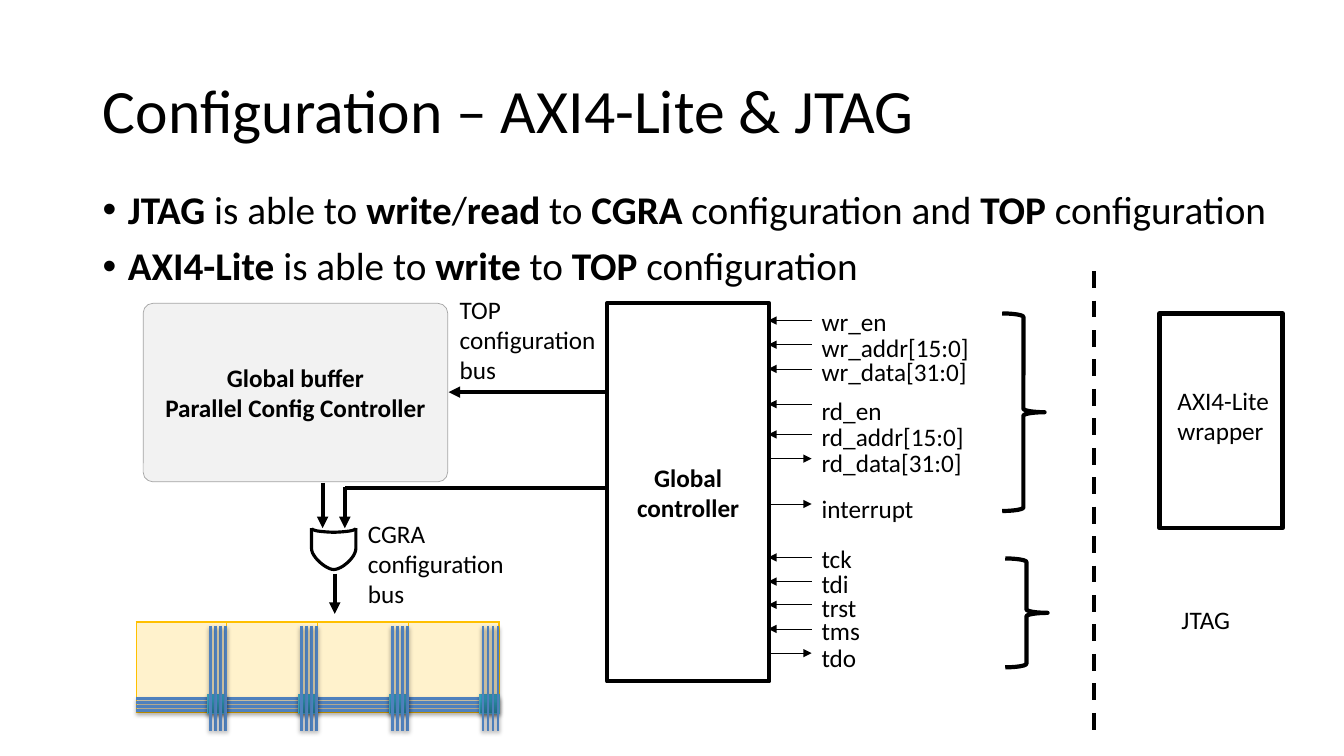
import math
import lxml.etree
import pptx
import pptx.dml.color
import pptx.enum.dml
import pptx.enum.shapes
import pptx.enum.text
import pptx.oxml
import pptx.oxml.ns
import pptx.util
from dataclasses import dataclass

TITLE = "Configuration – AXI4-Lite & JTAG"
# Every second span is plain, the others are bold.
BULLETS = [
    ["JTAG", " is able to ", "write", "/", "read", " to ", "CGRA",
     " configuration and ", "TOP", " configuration"],
    ["AXI4-Lite", " is able to ", "write", " to ", "TOP", " configuration"],
]
# name, arrow row, label row, direction; all rows in inches
SIGNALS = [
    ("wr_en", 3.18, 2.99, "in"),
    ("wr_addr[15:0]", 3.42, 3.25, "in"),
    ("wr_data[31:0]", 3.66, 3.49, "in"),
    ("rd_en", 4.01, 3.87, "in"),
    ("rd_addr[15:0]", 4.31, 4.13, "in"),
    ("rd_data[31:0]", 4.55, 4.39, "out"),
    ("interrupt", 5.00, 4.84, "out"),
    ("tck", 5.53, 5.34, "in"),
    ("tdi", 5.77, 5.59, "in"),
    ("trst", 6.00, 5.83, "in"),
    ("tms", 6.24, 6.06, "in"),
    ("tdo", 6.48, 6.32, "out"),
]
# paragraphs, (left, top, width, height)
NOTES = [
    (["TOP configuration bus"], (4.46, 2.87, 1.65, 1.01)),
    (["CGRA", "configuration", "bus"], (3.55, 5.09, 1.63, 1.01)),
    (["AXI4-Lite", "wrapper"], (11.58, 3.77, 1.3, 0.71)),
    (["JTAG"], (11.62, 5.95, 0.9, 0.4)),
]
BRACES = [(9.94, 3.11, 0.42, 1.96), (9.97, 5.54, 0.42, 1.08)]
CONTROLLER = (6.02, 3.01, 1.61, 3.75)
BUFFER = (1.42, 3.01, 3.02, 1.77)
WRAPPER = (11.5, 3.11, 1.22, 2.13)
PORT_LEFT, PORT_RIGHT = 7.62, 8.05
TOP_BUS_ROW, CGRA_BUS_ROW = 3.89, 4.84
GATE_LEFT, GATE_MIDDLE, GATE_RIGHT, GATE_TOP = 3.09, 3.31, 3.53, 5.24
GATE_INPUTS = (3.2, 3.42)
ARRAY_LEFT, ARRAY_TOP, TILE, TILE_COUNT = 1.35, 6.17, 0.9, 4
WIRE_COUNT, SWITCH = 4, 0.19
OUTLINE_UNITS = 1000  # freeform units per inch


@dataclass
class Theme:
    font: str = "Calibri"
    ink: str = "000000"
    paper: str = "FFFFFF"
    buffer_fill: str = "F2F2F2"
    buffer_line: str = "A5A5A5"
    tile_fill: str = "FFF2CC"
    tile_line: str = "FFC000"
    wire: str = "4F81BD"
    switch_line: str = "46AAC5"
    switch_stops: tuple = ((0, "2A88A2"), (80, "37B1D2"), (100, "34B4D6"))
    title_size: int = 44
    bullet_size: int = 28
    label_size: int = 18


theme = Theme()
Inches, Pt = pptx.util.Inches, pptx.util.Pt
Shapes = pptx.enum.shapes.MSO_SHAPE
NAMESPACE = 'xmlns:a="http://schemas.openxmlformats.org/drawingml/2006/main"'

deck = pptx.Presentation()
deck.slide_width, deck.slide_height = Inches(13.33), Inches(7.5)
page = deck.slides.add_slide(deck.slide_layouts[5])


def rgb(code):
    return pptx.dml.color.RGBColor.from_string(code)


def place(area):
    return [Inches(length) for length in area]


def set_font(target, size, bold=None):
    target.font.name, target.font.size, target.font.bold = theme.font, Pt(size), bold
    target.font.color.rgb = rgb(theme.ink)


def fill_text(frame, lines, bold=None, align=pptx.enum.text.PP_ALIGN.LEFT):
    frame.word_wrap = True
    for index, line in enumerate(lines):
        para = frame.add_paragraph() if index else frame.paragraphs[0]
        para.text, para.alignment = line, align
        set_font(para, theme.label_size, bold)


def add_label(lines, area):
    fill_text(page.shapes.add_textbox(*place(area)).text_frame, lines)


def add_box(kind, area, line, width, fill=None, lines=()):
    box = page.shapes.add_shape(kind, *place(area))
    box.shadow.inherit = False
    if fill:
        box.fill.solid()
        box.fill.fore_color.rgb = rgb(fill)
    else:
        box.fill.background()
    box.line.color.rgb, box.line.width = rgb(line), Pt(width)
    box.text_frame.vertical_anchor = pptx.enum.text.MSO_ANCHOR.MIDDLE
    fill_text(box.text_frame, lines, True, pptx.enum.text.PP_ALIGN.CENTER)
    return box


def add_shadow(shape, alpha, distance):
    """Give the shape a soft shadow straight below it."""
    effects = shape._element.spPr.find(pptx.oxml.ns.qn("a:effectLst"))
    effects.append(pptx.oxml.parse_xml(
        f'<a:outerShdw {NAMESPACE} blurRad="{Pt(3.1)}" dist="{Pt(distance)}" dir="5400000" '
        f'rotWithShape="0"><a:srgbClr val="{theme.ink}"><a:alpha val="{alpha * 1000}"/>'
        '</a:srgbClr></a:outerShdw>'))


def add_line(start, end, width, color=theme.ink, arrow=False, dash=None):
    line = page.shapes.add_connector(
        pptx.enum.shapes.MSO_CONNECTOR.STRAIGHT, *place(start + end))
    line.line.color.rgb, line.line.width = rgb(color), Pt(width)
    if dash:
        line.line.dash_style = dash
    if arrow:
        tail = lxml.etree.SubElement(line.line._get_or_add_ln(), pptx.oxml.ns.qn("a:tailEnd"))
        tail.set("type", "triangle")
    lxml.etree.SubElement(line._element.spPr, pptx.oxml.ns.qn("a:effectLst"))
    return line


def add_wire(start, end):
    add_shadow(add_line(start, end, 2, theme.wire), 38, 1.6)


def curve(points, steps=12):
    """Points along the cubic Bezier with these four control points."""
    return [tuple(sum(math.comb(3, k) * (1 - step / steps) ** (3 - k) * (step / steps) ** k
                      * point[axis] for k, point in enumerate(points)) for axis in (0, 1))
            for step in range(steps + 1)]


def add_outline(points):
    corners = [(round(x * OUTLINE_UNITS), round(y * OUTLINE_UNITS)) for x, y in points]
    builder = page.shapes.build_freeform(*corners[0], scale=Inches(1) / OUTLINE_UNITS)
    builder.add_line_segments(corners[1:], close=False)
    outline = builder.convert_to_shape()
    outline.shadow.inherit = False
    outline.fill.background()
    outline.line.color.rgb, outline.line.width = rgb(theme.ink), Pt(2.25)


def add_headings():
    title = page.shapes.title
    title.left, title.top, title.width, title.height = place((0.92, 0.4, 11.5, 1.45))
    title.text_frame.vertical_anchor = pptx.enum.text.MSO_ANCHOR.MIDDLE
    title.text_frame.text = TITLE
    heading = title.text_frame.paragraphs[0]
    heading.alignment, heading.line_spacing = pptx.enum.text.PP_ALIGN.LEFT, 0.9
    set_font(heading, theme.title_size)

    frame = page.shapes.add_textbox(*place((0.92, 1.84, 11.79, 1.1))).text_frame
    frame.word_wrap = True
    for index, spans in enumerate(BULLETS):
        para = frame.add_paragraph() if index else frame.paragraphs[0]
        para.line_spacing = 0.9
        if index:
            para.space_before = Pt(10)
        properties = para._p.get_or_add_pPr()
        properties.set("marL", str(Inches(0.25)))
        properties.set("indent", str(-Inches(0.25)))
        for tag, key, value in (("buFont", "typeface", "Arial"), ("buChar", "char", "•")):
            lxml.etree.SubElement(properties, pptx.oxml.ns.qn(f"a:{tag}")).set(key, value)
        set_font(para, theme.bullet_size)
        for position, text in enumerate(spans):
            span = para.add_run()
            span.text, span.font.bold = text, position % 2 == 0


def add_controller():
    add_box(Shapes.RECTANGLE, CONTROLLER, theme.ink, 3, theme.paper, ["Global", "controller"])
    for name, arrow_row, label_row, direction in SIGNALS:
        ends = [(PORT_LEFT, arrow_row), (PORT_RIGHT, arrow_row)]
        start, end = ends if direction == "out" else ends[::-1]
        add_line(start, end, 0.5, arrow=True)
        add_label([name], (PORT_RIGHT, label_row, 1.85, 0.4))
    for area in BRACES:
        add_box(Shapes.RIGHT_BRACE, area, theme.ink, 3)
    add_box(Shapes.RECTANGLE, WRAPPER, theme.ink, 3)
    add_line((10.85, 2.69), (10.85, 7.32), 3, dash=pptx.enum.dml.MSO_LINE.DASH)


def add_buses():
    buffer = add_box(Shapes.ROUNDED_RECTANGLE, BUFFER, theme.buffer_line, 0.5,
                     theme.buffer_fill, ["Global buffer", "Parallel Config Controller"])
    buffer.adjustments[0] = 0.054
    left, middle, right, top = GATE_LEFT, GATE_MIDDLE, GATE_RIGHT, GATE_TOP
    add_outline([(right, top)]
                + curve([(right, 5.44), (right, 5.53), (3.39, 5.65), (middle, 5.65)])
                + curve([(middle, 5.65), (3.24, 5.65), (left, 5.53), (left, 5.44)])
                + [(left, top)])
    add_outline(curve([(left, top), (left, 5.27), (3.24, 5.28), (middle, 5.28)])
                + curve([(middle, 5.28), (3.38, 5.28), (right, 5.27), (right, top)]))
    add_line((CONTROLLER[0], CGRA_BUS_ROW), (GATE_INPUTS[1], CGRA_BUS_ROW), 2.75)
    for start, end in [((CONTROLLER[0], TOP_BUS_ROW), (4.45, TOP_BUS_ROW)),
                       ((GATE_INPUTS[0], 4.79), (GATE_INPUTS[0], top)),
                       ((GATE_INPUTS[1], 4.83), (GATE_INPUTS[1], top)),
                       ((3.32, 5.69), (3.32, 6.09))]:
        add_line(start, end, 2.75, arrow=True)
    for lines, area in NOTES:
        add_label(lines, area)


def add_tile_array():
    width = TILE * TILE_COUNT
    table = page.shapes.add_table(
        1, TILE_COUNT, *place((ARRAY_LEFT, ARRAY_TOP, width, TILE))).table
    table.first_row = table.horz_banding = False
    for cell in table.iter_cells():
        for side in ("lnL", "lnR", "lnT", "lnB"):
            cell._tc.get_or_add_tcPr().append(pptx.oxml.parse_xml(
                f'<a:{side} {NAMESPACE} w="{Pt(1)}"><a:solidFill>'
                f'<a:srgbClr val="{theme.tile_line}"/></a:solidFill></a:{side}>'))
        cell.fill.solid()
        cell.fill.fore_color.rgb = rgb(theme.tile_fill)

    for wire in range(WIRE_COUNT):
        row = 6.93 + 0.04 * wire
        add_wire((ARRAY_LEFT, row), (ARRAY_LEFT + width + 0.01, row))
    stops = "".join(f'<a:gs pos="{share * 1000}"><a:srgbClr val="{color}"/></a:gs>'
                    for share, color in theme.switch_stops)
    tile_ends = [ARRAY_LEFT + TILE * (tile + 1) for tile in range(TILE_COUNT)]
    for end in tile_ends:
        switch = add_box(Shapes.RECTANGLE, (end - SWITCH, 6.89, SWITCH, SWITCH),
                         theme.switch_line, 0.75)
        properties = switch._element.spPr
        properties.replace(properties.find(pptx.oxml.ns.qn("a:noFill")), pptx.oxml.parse_xml(
            f'<a:gradFill {NAMESPACE} rotWithShape="1"><a:gsLst>{stops}</a:gsLst>'
            '<a:lin ang="16200000" scaled="0"/></a:gradFill>'))
        add_shadow(switch, 35, 1.8)
    for end in tile_ends:
        for wire in range(WIRE_COUNT):
            column = end - 0.01 - 0.05 * wire
            add_wire((column, 6.21), (column, 7.25))


add_headings()
add_controller()
add_buses()
add_tile_array()
deck.save("out.pptx")
